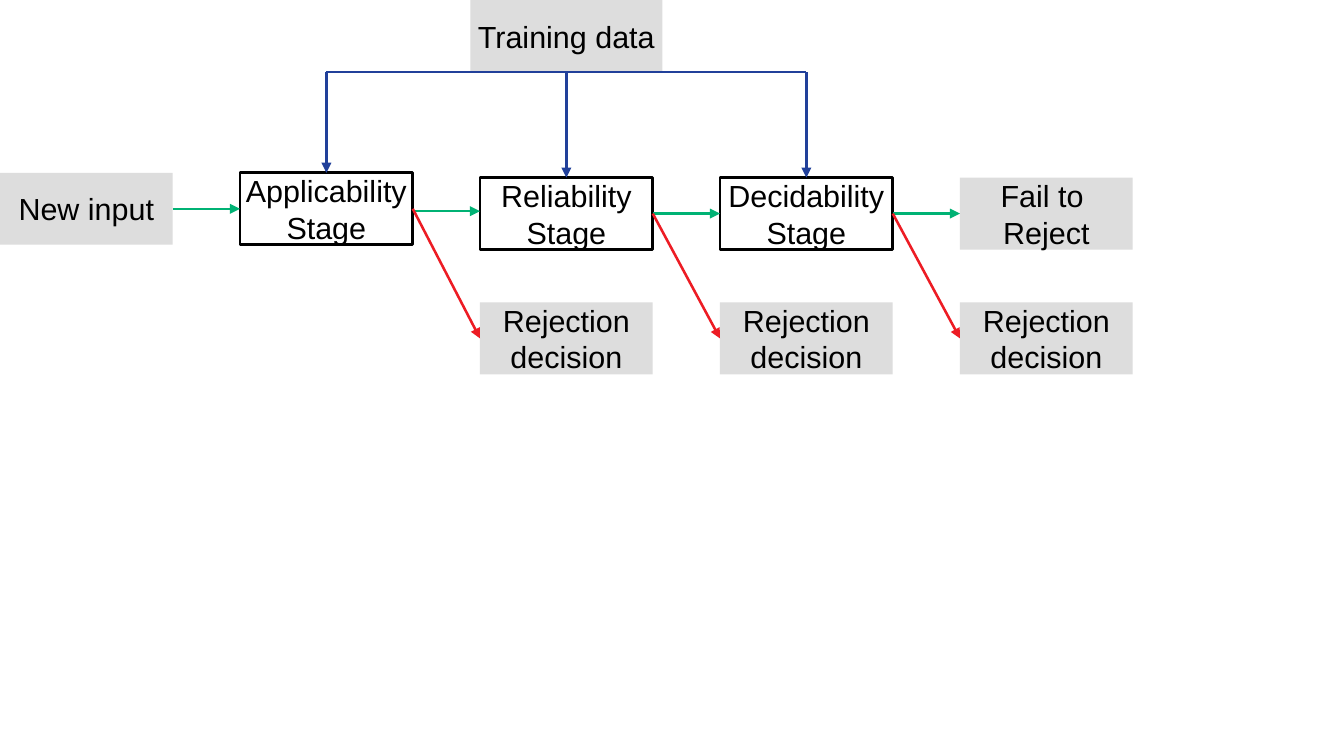
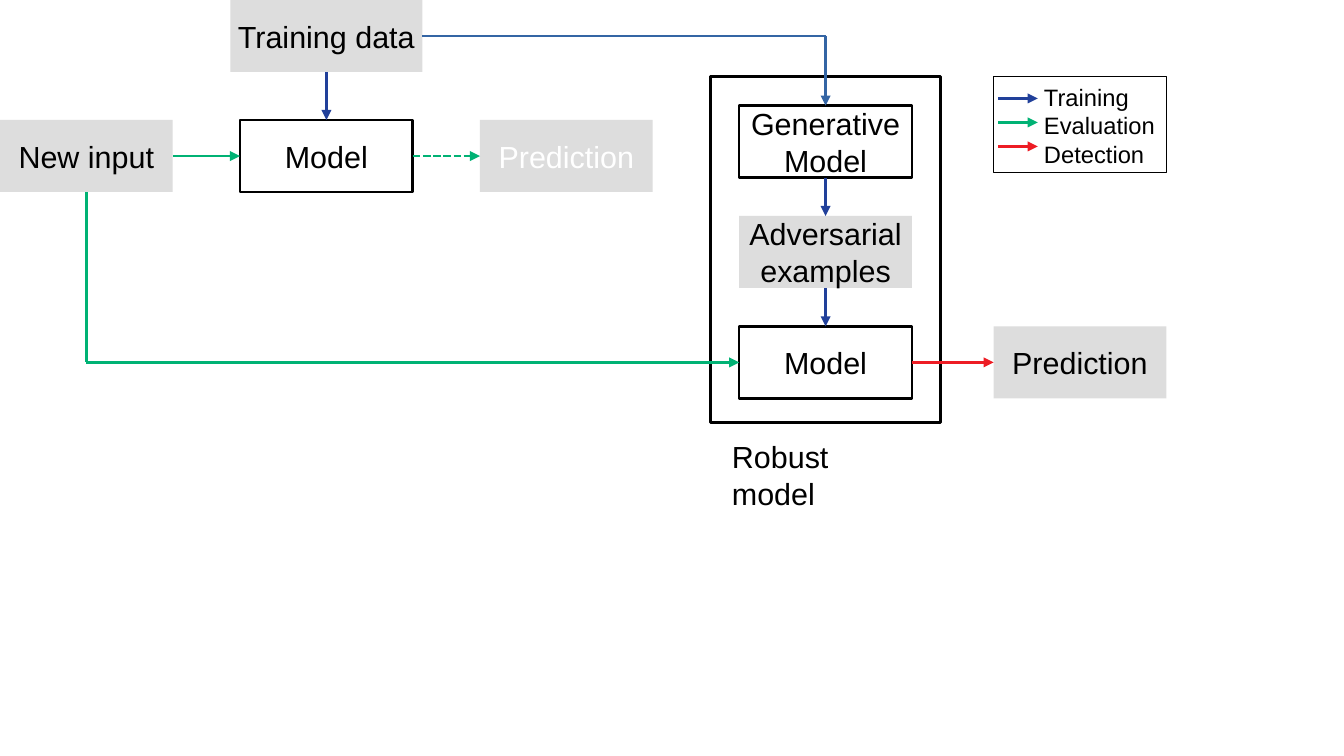
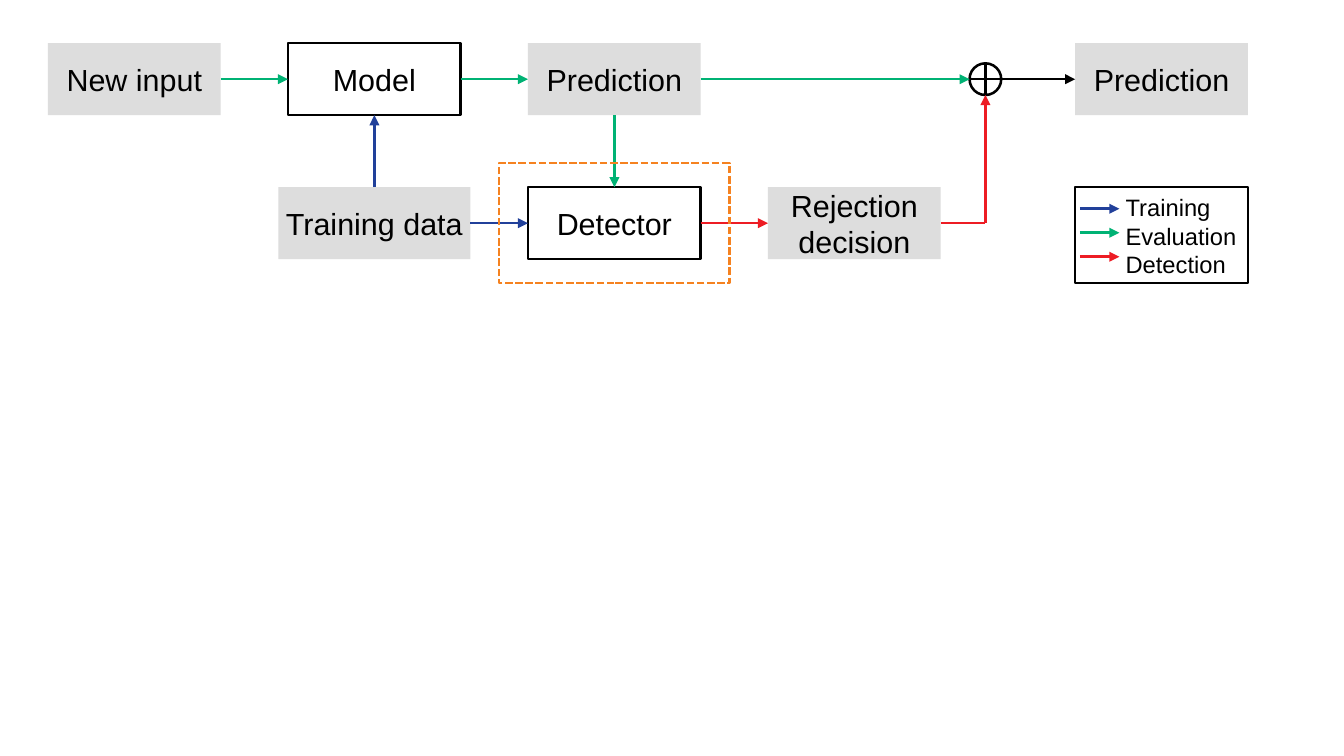
from lxml import etree
from pptx import Presentation
from pptx import util as u
from pptx.dml.color import RGBColor
from pptx.enum import dml, shapes, text
from pptx.oxml import ns

BLACK = RGBColor(0, 0, 0)
WHITE = RGBColor(255, 255, 255)
GREY = RGBColor(0xDD, 0xDD, 0xDD)
GREEN = RGBColor(0x00, 0xB2, 0x74)
RED = RGBColor(0xED, 0x1C, 0x24)
NAVY = RGBColor(0x21, 0x40, 0x9A)
BLUE = RGBColor(0x34, 0x65, 0xA4)
ORANGE = RGBColor(0xF5, 0x82, 0x20)
TOP, LEFT, BOTTOM, RIGHT = range(4)
BOX_W, BOX_H, DATA_W = 3.6, 1.5, 4


class Diagram:
    font = "Arial"
    size = 18
    columns, rows = 28, 15.75

    def __init__(self):
        self.deck = Presentation()
        self.deck.slide_width = u.Cm(self.columns)
        self.deck.slide_height = u.Cm(self.rows)

    def new_page(self):
        self.page = self.deck.slides.add_slide(self.deck.slide_layouts[6])
        self.canvas = self.page.shapes

    def set_words(self, box, words, size, color, align):
        frame = box.text_frame
        frame.text = words
        for para in frame.paragraphs:
            para.alignment = align
            for span in para.runs:
                span.font.name = self.font
                span.font.size = u.Pt(size)
                span.font.color.rgb = color

    def shape(self, x, y, w, h, fill=None, line=BLACK, weight=1.5, dashed=False,
              kind=shapes.MSO_SHAPE.RECTANGLE):
        box = self.canvas.add_shape(kind, *map(u.Cm, (x, y, w, h)))
        box.shadow.inherit = False
        if fill is None:
            box.fill.background()
        else:
            box.fill.solid()
            box.fill.fore_color.rgb = fill
        if line is None:
            box.line.fill.background()
        else:
            box.line.color.rgb = line
            box.line.width = u.Pt(weight)
        if dashed:
            box.line.dash_style = dml.MSO_LINE.SQUARE_DOT
        return box

    def node(self, x, y, words, fill, line, w=BOX_W, color=BLACK):
        box = self.shape(x, y, w, BOX_H, fill, line)
        box.text_frame.word_wrap = False
        box.text_frame.vertical_anchor = text.MSO_ANCHOR.MIDDLE
        self.set_words(box, words, self.size, color, text.PP_ALIGN.CENTER)
        return box

    def data(self, x, y, words, **style):
        return self.node(x, y, words, GREY, None, **style)

    def stage(self, x, y, words):
        return self.node(x, y, words, WHITE, BLACK)

    def label(self, x, y, w, h, words, size):
        box = self.canvas.add_textbox(*map(u.Cm, (x, y, w, h)))
        box.text_frame.word_wrap = True
        self.set_words(box, words, size, BLACK, text.PP_ALIGN.LEFT)

    def line(self, start, end, color, arrow=True, dashed=False):
        wire = self.canvas.add_connector(
            shapes.MSO_CONNECTOR.STRAIGHT, *map(u.Cm, (*start, *end)))
        wire.line.color.rgb = color
        wire.line.width = u.Pt(1.5)
        if dashed:
            wire.line.dash_style = dml.MSO_LINE.SQUARE_DOT
        if arrow:
            outline = wire.line._get_or_add_ln()
            etree.SubElement(outline, ns.qn("a:tailEnd"), type="triangle")
        etree.SubElement(wire._element.spPr, ns.qn("a:effectLst"))
        return wire

    def link(self, source, exit_side, target, entry_side, color, dashed=False):
        wire = self.line((0, 0), (1, 1), color, dashed=dashed)
        wire.begin_connect(source, exit_side)
        wire.end_connect(target, entry_side)

    def bend(self, source, exit_side, start, corner, target, entry_side, color):
        self.line(start, corner, color, arrow=False).begin_connect(source, exit_side)
        self.line(corner, corner, color).end_connect(target, entry_side)

    def legend(self, x, y):
        self.canvas = self.page.shapes.add_group_shape().shapes
        self.label(x + 0.8, y, 3, 2, "Training\nEvaluation\nDetection", 14)
        for row, color in enumerate((NAVY, GREEN, RED)):
            level = y + 0.45 + 0.5 * row
            self.line((x + 0.1, level), (x + 0.92, level), color)
        self.shape(x, y, BOX_W, 2, weight=0.79)
        self.canvas = self.page.shapes


def rejection_stages(art):
    art.new_page()
    step, level = 5, 4.4
    training = art.data(9.8, 0, "Training data", w=DATA_W)
    new_input = art.data(0, 3.6, "New input")
    names = ("Applicability", "Reliability", "Decidability")
    stages = [art.stage(step * (i + 1), 3.7 if i else 3.6, name + "\nStage")
              for i, name in enumerate(names)]
    accepted = art.data(4 * step, 3.7, "Fail to \nReject")
    art.link(new_input, RIGHT, stages[0], LEFT, GREEN)
    art.line((step + BOX_W, level), (2 * step, level), GREEN)
    art.link(stages[1], RIGHT, stages[2], LEFT, GREEN)
    art.link(stages[2], RIGHT, accepted, LEFT, GREEN)
    for i, stage in enumerate(stages):
        rejected = art.data(step * (i + 2), 6.3, "Rejection\ndecision")
        art.link(stage, RIGHT, rejected, LEFT, RED)
    centres = [step * (i + 1) + BOX_W / 2 for i in range(3)]
    art.line((centres[0], BOX_H), (centres[2], BOX_H), NAVY, arrow=False)
    art.link(training, BOTTOM, stages[1], TOP, NAVY)
    for i in (0, 2):
        drop = art.line((centres[i], BOX_H), (centres[i], 3.6), NAVY)
        drop.end_connect(stages[i], TOP)


def robust_model(art):
    art.new_page()
    new_input = art.data(0, 2.5, "New input")
    first_prediction = art.data(10, 2.5, "Prediction", color=WHITE)
    training = art.data(4.8, 0, "Training data", w=DATA_W)
    model = art.stage(5, 2.5, "Model")
    art.link(training, BOTTOM, model, TOP, NAVY)
    art.link(new_input, RIGHT, model, LEFT, GREEN)
    art.link(model, RIGHT, first_prediction, LEFT, GREEN, dashed=True)
    art.legend(20.7, 1.6)
    art.shape(14.8, 1.6, 4.8, 7.2, WHITE)
    art.label(15, 9, 4.2, 1.7, "Robust model", art.size)
    generator = art.stage(15.4, 2.2, "Generative\nModel")
    examples = art.data(15.4, 4.5, "Adversarial\nexamples")
    robust = art.stage(15.4, 6.8, "Model")
    prediction = art.data(20.7, 6.8, "Prediction")
    art.link(generator, BOTTOM, examples, TOP, NAVY)
    art.link(examples, BOTTOM, robust, TOP, NAVY)
    art.link(robust, RIGHT, prediction, LEFT, RED)
    art.bend(training, RIGHT, (8.8, 0.75), (17.2, 0.75), generator, TOP, BLUE)
    art.bend(new_input, BOTTOM, (1.8, 4), (1.8, 7.55), robust, LEFT, GREEN)


def detector(art):
    art.new_page()
    upper, lower = 0.9, 3.9
    new_input = art.data(1, upper, "New input")
    model = art.stage(6, upper, "Model")
    prediction = art.data(11, upper, "Prediction")
    outcome = art.data(22.4, upper, "Prediction")
    training = art.data(5.8, lower, "Training data", w=DATA_W)
    checker = art.stage(11, lower, "Detector")
    rejected = art.data(16, lower, "Rejection\ndecision")
    art.shape(20.2, 1.32, 0.66, 0.66, WHITE, kind=shapes.MSO_SHAPE.FLOWCHART_OR)
    art.link(new_input, RIGHT, model, LEFT, GREEN)
    art.link(model, RIGHT, prediction, LEFT, GREEN)
    art.link(prediction, BOTTOM, checker, TOP, GREEN)
    art.link(training, TOP, model, BOTTOM, NAVY)
    art.link(training, RIGHT, checker, LEFT, NAVY)
    art.link(checker, RIGHT, rejected, LEFT, RED)
    middle = upper + BOX_H / 2
    art.line((14.6, middle), (20.2, middle), GREEN).begin_connect(prediction, RIGHT)
    art.line((20.86, middle), (22.4, middle), BLACK).end_connect(outcome, LEFT)
    corner = (20.53, lower + BOX_H / 2)
    art.line((19.6, corner[1]), corner, RED, arrow=False).begin_connect(rejected, RIGHT)
    art.line(corner, (20.53, 1.98), RED)
    art.legend(22.4, lower)
    art.shape(10.4, 3.4, 4.8, 2.5, line=ORANGE, dashed=True)


def main():
    art = Diagram()
    rejection_stages(art)
    robust_model(art)
    detector(art)
    art.deck.save("out.pptx")


if __name__ == "__main__":
    main()
